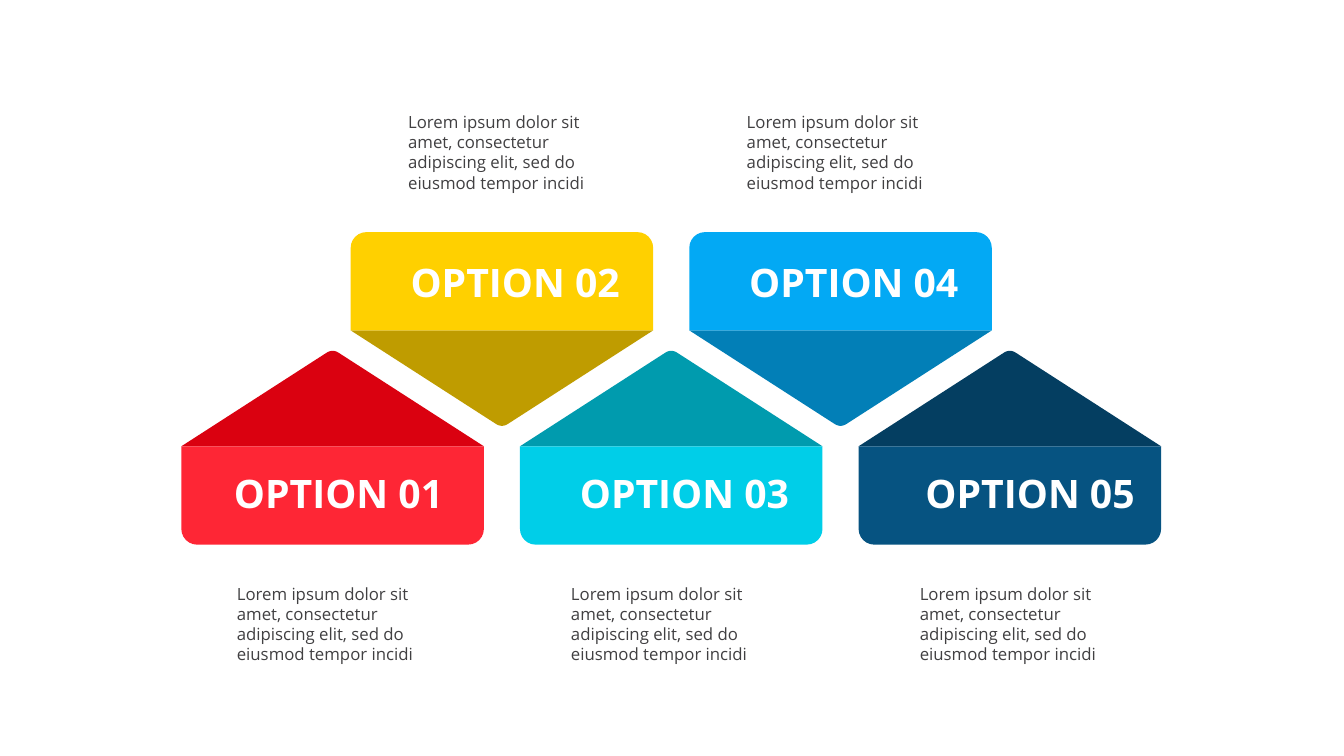
from pptx import Presentation
from pptx.dml.color import RGBColor
from pptx.enum.shapes import MSO_SHAPE
from pptx.enum.text import MSO_AUTO_SIZE
from pptx.util import Pt

ROUND_TOP = MSO_SHAPE.ROUND_2_SAME_RECTANGLE
FIT_SHAPE = MSO_AUTO_SIZE.SHAPE_TO_FIT_TEXT

WHITE = RGBColor(0xFF, 0xFF, 0xFF)
GREY = RGBColor(0x41, 0x40, 0x42)
RED, DARK_RED = RGBColor(0xFE, 0x26, 0x35), RGBColor(0xDA, 0x01, 0x10)
YELLOW, DARK_YELLOW = RGBColor(0xFF, 0xD0, 0x00), RGBColor(0xBF, 0x9C, 0x00)
CYAN, DARK_CYAN = RGBColor(0x00, 0xCE, 0xE8), RGBColor(0x00, 0x9B, 0xAE)
BLUE, DARK_BLUE = RGBColor(0x03, 0xA9, 0xF4), RGBColor(0x02, 0x7F, 0xB7)
NAVY, DARK_NAVY = RGBColor(0x06, 0x53, 0x81), RGBColor(0x04, 0x3E, 0x61)

LABEL_FORMAT = {"name": "Open Sans", "size": Pt(28), "bold": True}
BODY_FORMAT = {"name": "Open Sans", "size": Pt(12)}
BODY = ("Lorem ipsum dolor sit amet, consectetur adipiscing elit, "
        "sed do eiusmod tempor incidi")

FIRST_LEFT, STEP = 129.6, 121
WIDTH, PLATE_HEIGHT = 216.2, 70.2
CORNER = 0.16
# Half width and height of the flap's shoulder, and the control point above it
SHOULDER_HALF, SHOULDER_HEIGHT, TIP_HEIGHT = 4.3, 66.8, 69.6
CURVE_STEPS = 8

# Per row: fold line, plate top, label top, body top, flap direction
LOWER = {"fold": 318.8, "plate": 318.8, "label": 335.5, "body": 413.3, "up": True}
UPPER = {"fold": 236, "plate": 165.8, "label": 184.3, "body": 76.3, "up": False}

# Plate colour, flap colour, label left, body left
OPTIONS = [
    (RED, DARK_RED, 167.2, 162.2),
    (YELLOW, DARK_YELLOW, 293.4, 284.6),
    (CYAN, DARK_CYAN, 414.4, 401),
    (BLUE, DARK_BLUE, 535.4, 526.6),
    (NAVY, DARK_NAVY, 661.4, 650.3),
]


def paint(shape, color):
    shape.shadow.inherit = False
    shape.fill.solid()
    shape.fill.fore_color.rgb = color
    shape.line.fill.background()


def add_flap(slide, left, fold, up, color):
    """Draw a triangle with a rounded tip, based on the fold line."""
    direction = -1 if up else 1
    center = left + WIDTH / 2
    points = []
    for i in range(CURVE_STEPS + 1):
        t = i / CURVE_STEPS
        bulge = 2 * t * (1 - t) * (TIP_HEIGHT - SHOULDER_HEIGHT)
        x = center + SHOULDER_HALF * (2 * t - 1)
        points.append((Pt(x), Pt(fold + direction * (SHOULDER_HEIGHT + bulge))))
    points.append((Pt(left + WIDTH), Pt(fold)))
    outline = slide.shapes.build_freeform(Pt(left), Pt(fold))
    outline.add_line_segments(points, close=True)
    paint(outline.convert_to_shape(), color)


def add_plate(slide, left, top, up, color):
    """Draw the label plate, rounded on the side away from the flap."""
    plate = slide.shapes.add_shape(
        ROUND_TOP, Pt(left), Pt(top), Pt(WIDTH), Pt(PLATE_HEIGHT))
    plate.adjustments[0] = 0 if up else CORNER
    plate.adjustments[1] = CORNER if up else 0
    paint(plate, color)


def add_text(slide, box, text, font_format, color, margins, wrap):
    frame = slide.shapes.add_textbox(*map(Pt, box)).text_frame
    side, edge = map(Pt, margins)
    settings = {"margin_left": side, "margin_right": side, "margin_top": edge,
                "margin_bottom": edge, "word_wrap": wrap, "auto_size": FIT_SHAPE}
    for name, value in settings.items():
        setattr(frame, name, value)
    paragraph = frame.paragraphs[0]
    paragraph.text = text
    for name, value in font_format.items():
        setattr(paragraph.font, name, value)
    paragraph.font.color.rgb = color


def main():
    deck = Presentation()
    deck.slide_width, deck.slide_height = Pt(960.5), Pt(540)
    slide = deck.slides.add_slide(deck.slide_layouts[6])
    for i, (plate_color, flap_color, label_left, body_left) in enumerate(OPTIONS):
        row = UPPER if i % 2 else LOWER
        left = FIRST_LEFT + i * STEP
        add_flap(slide, left, row["fold"], row["up"], flap_color)
        add_plate(slide, left, row["plate"], row["up"], plate_color)
        add_text(slide, (label_left, row["label"], 149.8, 33.8),
                 f"OPTION {i + 1:02}", LABEL_FORMAT, WHITE, (0, 0), False)
        add_text(slide, (body_left, row["body"], 146.2, 64.8),
                 BODY, BODY_FORMAT, GREY, (7.2, 3.6), True)
    deck.save("out.pptx")


if __name__ == "__main__":
    main()
